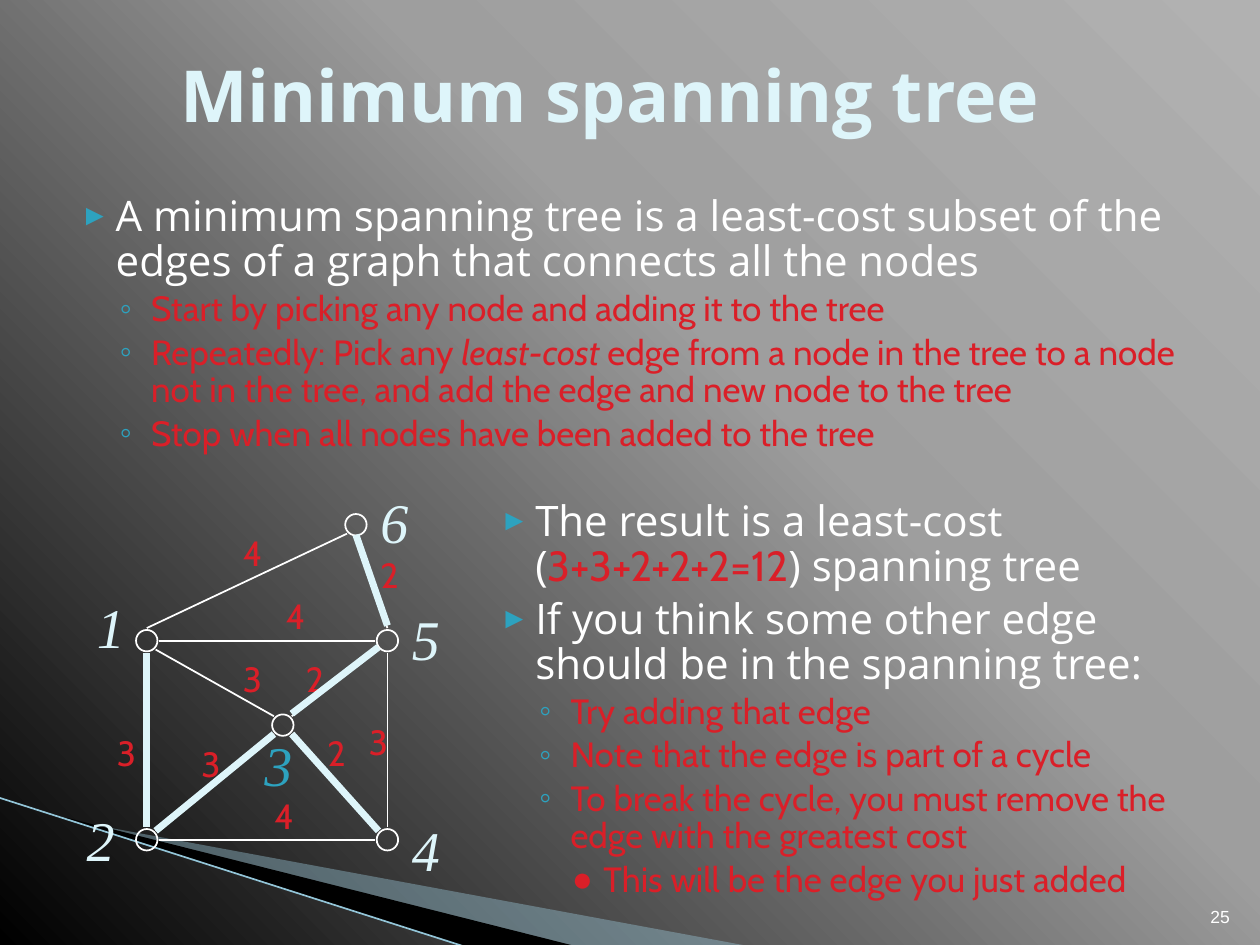
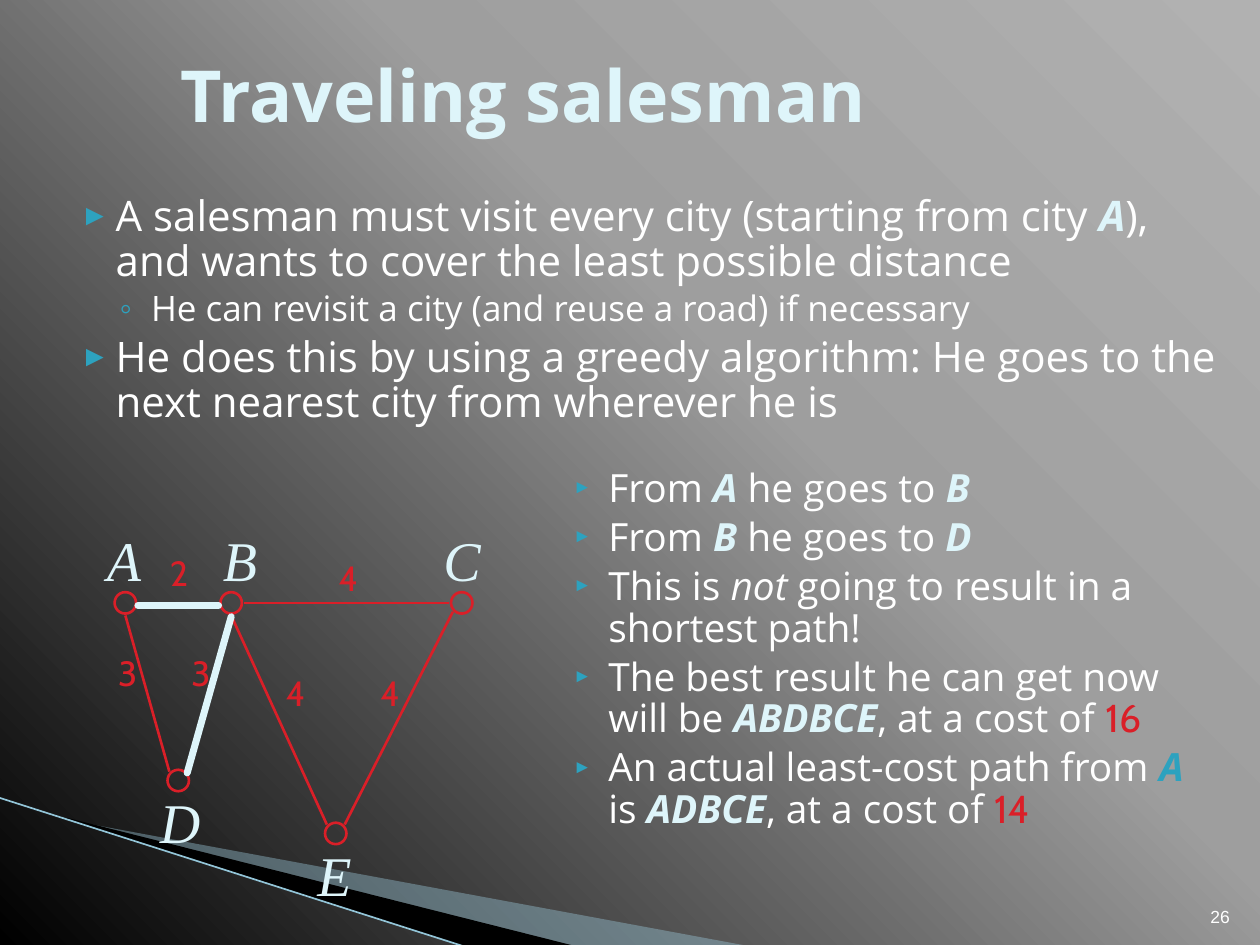
from dataclasses import dataclass
from math import cos, radians, sin
from typing import NamedTuple

from pptx import Presentation, oxml
from pptx.dml.color import RGBColor
from pptx.enum import shapes, text
from pptx.oxml import ns
from pptx.util import Inches, Pt


@dataclass(frozen=True)
class Theme:
    white: str = "FFFFFF"
    ice: str = "DEF5FA"
    teal: str = "2DA2BF"
    red: str = "DA1F28"
    band: str = "9CCADC"
    band_edge: str = "93C5D8"
    black: str = "000000"
    backdrop: tuple = ((0, "B1B1B1"), (40, "9E9E9E"), (100, "000000"))
    bullet_font: str = "Arial"
    title_size: float = 41
    label_size: float = 32
    cost_size: float = 20
    number_size: float = 10
    chosen_width: float = 4


T = Theme()


class Style(NamedTuple):
    font: str
    color: str
    bold: bool = False
    italic: bool = False


PLAIN = Style("Open Sans", T.white)
STRESS = Style("Open Sans", T.white, italic=True)
TITLE = Style("Open Sans", T.ice, bold=True)
CITY = Style("Open Sans", T.ice, bold=True, italic=True)
START = Style("Open Sans", T.teal, bold=True, italic=True)
COST = Style("Cabin", T.red)
COST_STRESS = Style("Cabin", T.red, italic=True)
LABEL = Style("Times New Roman", T.ice, italic=True)
LABEL_TEAL = Style("Times New Roman", T.teal, italic=True)
NUMBER = Style("Arial", T.white)


class Level(NamedTuple):
    indent: float
    hanging: float
    bullet: str
    bullet_color: str
    bullet_percent: int
    size: float
    before: float


LEVELS = (
    Level(0.4, 0.28, "►", T.teal, 70, 24, 4),
    Level(0.68, 0.25, "◦", T.teal, 100, 20, 3.2),
    Level(0.94, 0.25, "●", T.red, 100, 20, 3.5),
)


class Box(NamedTuple):
    left: float
    top: float
    width: float
    height: float


class Para(NamedTuple):
    level: int
    runs: list  # (text, Style) pairs


@dataclass(frozen=True)
class Body:
    box: Box
    paras: list
    size: float | None = None
    bullet_scale: float = 1


class Edge(NamedTuple):
    """Runs from a compass side of one node to a side of another."""
    start: str
    start_side: str
    end: str
    end_side: str
    chosen_shift: tuple | None = None


class Label(NamedTuple):
    text: str
    left: float
    top: float
    width: float
    style: Style = LABEL


@dataclass(frozen=True)
class Graph:
    nodes: dict  # name: (left, top)
    edges: list
    names: list
    costs: list
    color: str
    width: float
    align: text.PP_ALIGN
    anchor: text.MSO_ANCHOR
    cap: str = "flat"


@dataclass(frozen=True)
class Page:
    title: str
    number: int
    bodies: list
    graph: Graph


NODE = 0.17
REACH = 0.1  # from a node's centre to the end of its edges
SIDES = {side: 45 * i for i, side in enumerate(("e", "se", "s", "sw", "w", "nw", "n", "ne"))}
BANDS = (
    (T.band, 40, ((0.55, 6.51), (5.95, 7.51), (4.56, 7.51), (0.55, 6.5))),
    (T.black, 100, ((0.53, 6.49), (4.57, 7.51), (3.72, 7.52), (0.54, 6.5))),
)
BAND_LINE = ((-0.01, 6.33), (3.71, 7.52))
TITLE_BOX = Box(1.33, 0.33, 8.52, 0.83)
NUMBER_BOX = Box(9.46, 7.01, 0.4, 0.4)


def inches(values) -> list:
    return [Inches(v) for v in values]


def rgb(color: str) -> RGBColor:
    return RGBColor.from_string(color)


def format_run(r, style: Style, size: float) -> None:
    f = r.font
    f.name, f.size, f.bold, f.italic = style.font, Pt(size), style.bold, style.italic
    f.color.rgb = rgb(style.color)


def add_text(slide, box: Box, content: str, style: Style, size: float,
             align=text.PP_ALIGN.LEFT, anchor=text.MSO_ANCHOR.TOP, sp=None) -> None:
    """Write one line of text in a placeholder, or else in a new text box."""
    sp = sp or slide.shapes.add_textbox(*inches(box))
    sp.left, sp.top, sp.width, sp.height = inches(box)
    tf = sp.text_frame
    tf.text = content
    tf.word_wrap, tf.auto_size, tf.vertical_anchor = True, text.MSO_AUTO_SIZE.NONE, anchor
    p = tf.paragraphs[0]
    p.alignment = align
    format_run(p.runs[0], style, size)


def add_bullet(p, level: Level, scale: float) -> None:
    pPr = p._p.get_or_add_pPr()
    pPr.set("marL", str(Inches(level.indent)))
    pPr.set("indent", str(-Inches(level.hanging)))
    a = ns.nsdecls("a")
    percent = round(level.bullet_percent * scale)
    for xml in (f'<a:buClr {a}><a:srgbClr val="{level.bullet_color}"/></a:buClr>',
                f'<a:buSzPct {a} val="{percent * 1000}"/>',
                f'<a:buFont {a} typeface="{T.bullet_font}"/>',
                f'<a:buChar {a} char="{level.bullet}"/>'):
        pPr.append(oxml.parse_xml(xml))


def add_body(slide, body: Body) -> None:
    tf = slide.shapes.add_textbox(*inches(body.box)).text_frame
    tf.word_wrap = True
    for i, para in enumerate(body.paras):
        p = tf.add_paragraph() if i else tf.paragraphs[0]
        level = LEVELS[para.level]
        p.level, p.line_spacing = para.level, 0.9
        p.space_before = Pt(level.before if i else 0)
        add_bullet(p, level, body.bullet_scale)
        for content, style in para.runs:
            r = p.add_run()
            r.text = content
            format_run(r, style, body.size or level.size)


def add_line(slide, start, end, color: str, width: float, cap: str = "flat") -> None:
    cx = slide.shapes.add_connector(shapes.MSO_CONNECTOR.STRAIGHT, *inches((*start, *end)))
    cx.line.color.rgb, cx.line.width = rgb(color), Pt(width)
    spPr = cx._element.spPr
    spPr.find(ns.qn("a:ln")).set("cap", cap)
    spPr.append(oxml.parse_xml(f'<a:effectLst {ns.nsdecls("a")}/>'))


def add_bands(slide) -> None:
    for color, opacity, points in BANDS:
        start, *rest = [tuple(inches(pt)) for pt in points]
        fb = slide.shapes.build_freeform(*start)
        fb.add_line_segments(rest)
        sp = fb.convert_to_shape()
        sp.shadow.inherit = False
        sp.fill.solid()
        sp.fill.fore_color.rgb = rgb(color)
        sp.line.fill.background()
        clr = sp._element.spPr.find(ns.qn("a:solidFill"))[0]
        clr.append(oxml.parse_xml(f'<a:alpha {ns.nsdecls("a")} val="{opacity * 1000}"/>'))
    add_line(slide, *BAND_LINE, T.band_edge, 0.95)


def side_point(corner, side: str, shift=(0, 0)) -> tuple:
    angle = radians(SIDES[side])
    return tuple(c + NODE / 2 + REACH * f(angle) + d for c, f, d in zip(corner, (cos, sin), shift))


def add_graph(slide, g: Graph) -> None:
    for corner in g.nodes.values():
        sp = slide.shapes.add_shape(shapes.MSO_SHAPE.OVAL, *inches((*corner, NODE, NODE)))
        sp.shadow.inherit = False
        sp.fill.background()
        sp.line.color.rgb, sp.line.width = rgb(g.color), Pt(g.width)

    def draw(e: Edge, shift, color: str, width: float, cap: str) -> None:
        ends = (side_point(g.nodes[n], s, shift) for n, s in (e[:2], e[2:4]))
        add_line(slide, *ends, color, width, cap)

    for e in g.edges:
        draw(e, (0, 0), g.color, g.width, "flat")
    for labels, height, size in ((g.names, 0.63, T.label_size), (g.costs, 0.43, T.cost_size)):
        for lb in labels:
            add_text(slide, Box(lb.left, lb.top, lb.width, height), lb.text, lb.style, size, g.align, g.anchor)
    for e in g.edges:
        if e.chosen_shift:
            draw(e, e.chosen_shift, T.ice, T.chosen_width, g.cap)


def set_backdrop(master) -> None:
    """Shade the master from its top right corner outwards."""
    master.background.fill.solid()
    bgPr = master._element.find(".//" + ns.qn("p:bgPr"))
    stops = "".join(f'<a:gs pos="{pos * 1000}"><a:srgbClr val="{c}"/></a:gs>' for pos, c in T.backdrop)
    bgPr.replace(bgPr[0], oxml.parse_xml(
        f'<a:gradFill {ns.nsdecls("a")} rotWithShape="1"><a:gsLst>{stops}</a:gsLst>'
        '<a:path path="circle"><a:fillToRect l="100000" b="100000"/></a:path></a:gradFill>'))


def add_page(prs, page: Page) -> None:
    slide = prs.slides.add_slide(prs.slide_layouts[5])
    add_bands(slide)
    for body in page.bodies:
        add_body(slide, body)
    add_text(slide, NUMBER_BOX, str(page.number), NUMBER, T.number_size,
             text.PP_ALIGN.RIGHT, text.MSO_ANCHOR.BOTTOM)
    add_text(slide, TITLE_BOX, page.title, TITLE, T.title_size,
             anchor=text.MSO_ANCHOR.MIDDLE, sp=slide.shapes.title)
    add_graph(slide, page.graph)


def costs(width: float, *items) -> list:
    return [Label(value, left, top, width, COST) for value, left, top in items]


SPANNING = Page("Minimum spanning tree", 25, [
    Body(Box(0.42, 1.5, 9.38, 2.4), [
        Para(0, [("A minimum spanning tree is a least-cost subset of the edges of a graph that connects all the nodes", PLAIN)]),
        Para(1, [("Start by picking any node and adding it to the tree", COST)]),
        Para(1, [("Repeatedly: Pick any ", COST), ("least-cost", COST_STRESS),
                 (" edge from a node in the tree to a node not in the tree, and add the edge and new node to the tree", COST)]),
        Para(1, [("Stop when all nodes have been added to the tree", COST)])]),
    Body(Box(3.75, 3.92, 6, 3.42), [
        Para(0, [("The result is a least-cost (", PLAIN), ("3+3+2+2+2=12", COST), (") spanning tree", PLAIN)]),
        Para(0, [("If you think some other edge should be in the spanning tree:", PLAIN)]),
        Para(1, [("Try adding that edge", COST)]),
        Para(1, [("Note that the edge is part of a cycle", COST)]),
        Para(1, [("To break the cycle, you must remove the edge with the greatest cost", COST)]),
        Para(2, [("This will be the edge you just added", COST)])]),
], Graph(
    {"1": (1.08, 5), "2": (1.08, 6.58), "3": (2.16, 5.67), "4": (2.99, 6.58), "5": (2.99, 5), "6": (2.74, 4.08)},
    [Edge("1", "s", "2", "n", (0, 0)), Edge("2", "e", "4", "w"), Edge("4", "n", "5", "s"),
     Edge("1", "e", "5", "w"), Edge("1", "n", "6", "sw"), Edge("6", "s", "5", "n", (0, -0.02)),
     Edge("1", "se", "3", "nw"), Edge("3", "ne", "5", "sw", (0, -0.02)),
     Edge("3", "sw", "2", "ne", (0, 0)), Edge("3", "se", "4", "nw", (0, 0))],
    [Label("1", 0.67, 4.65, 0.5), Label("2", 0.59, 6.34, 0.5), Label("3", 2, 5.75, 0.5, LABEL_TEAL),
     Label("4", 3.17, 6.42, 0.5), Label("5", 3.17, 4.75, 0.5), Label("6", 2.92, 3.82, 0.5)],
    costs(0.25, ("3", 0.83, 5.76), ("3", 1.5, 5.84), ("3", 1.83, 5.17), ("3", 2.83, 5.67), ("2", 2.33, 5.17),
          ("2", 2.5, 5.76), ("2", 2.92, 4.34), ("4", 2.08, 6.26), ("4", 1.83, 4.17), ("4", 2.17, 4.67)),
    T.white, 1, text.PP_ALIGN.LEFT, text.MSO_ANCHOR.TOP))

SALESMAN = Page("Traveling salesman", 26, [
    Body(Box(0.42, 1.5, 9.38, 2.15), [
        Para(0, [("A salesman must visit every city (starting from city ", PLAIN), ("A", CITY),
                 ("), and wants to cover the least possible distance", PLAIN)]),
        Para(1, [("He can revisit a city (and reuse a road) if necessary", PLAIN)]),
        Para(0, [("He does this by using a greedy algorithm: He goes to the next nearest city from wherever he is", PLAIN)])]),
    Body(Box(4.33, 3.67, 5.17, 3.5), [
        *(Para(0, [("From ", PLAIN), (a, CITY), (" he goes to ", PLAIN), (b, CITY)]) for a, b in ("AB", "BD")),
        Para(0, [("This is ", PLAIN), ("not", STRESS), (" going to result in a shortest path!", PLAIN)]),
        Para(0, [("The best result he can get now will be ", PLAIN), ("ABDBCE", CITY),
                 (", at a cost of ", PLAIN), ("16", COST)]),
        Para(0, [("An actual least-cost path from ", PLAIN), ("A", START), (" is ", PLAIN), ("ADBCE", CITY),
                 (", at a cost of ", PLAIN), ("14", COST)])], 22.2, 0.68),
], Graph(
    {"A": (0.91, 4.7), "B": (1.75, 4.7), "C": (3.58, 4.7), "D": (1.33, 6.11), "E": (2.58, 6.53)},
    [Edge("A", "e", "B", "w", (0, 0.02)), Edge("A", "s", "D", "nw"), Edge("B", "s", "D", "ne", (0, 0.01)),
     Edge("B", "s", "E", "nw"), Edge("B", "e", "C", "w"), Edge("C", "sw", "E", "ne")],
    [Label("A", 0.75, 4.12, 0.47), Label("B", 1.67, 4.12, 0.47), Label("C", 3.42, 4.12, 0.49),
     Label("D", 1.17, 6.2, 0.52), Label("E", 2.42, 6.62, 0.47)],
    costs(0.34, ("2", 1.25, 4.33), ("3", 0.84, 5.12), ("3", 1.42, 5.12),
          ("4", 2.59, 4.37), ("4", 2.17, 5.28), ("4", 2.92, 5.28)),
    T.red, 1.5, text.PP_ALIGN.CENTER, text.MSO_ANCHOR.MIDDLE, "rnd"))


def main() -> None:
    prs = Presentation()
    prs.slide_width, prs.slide_height = Inches(10), Inches(7.5)
    set_backdrop(prs.slide_master)
    for page in (SPANNING, SALESMAN):
        add_page(prs, page)
    prs.save("out.pptx")


if __name__ == "__main__":
    main()
